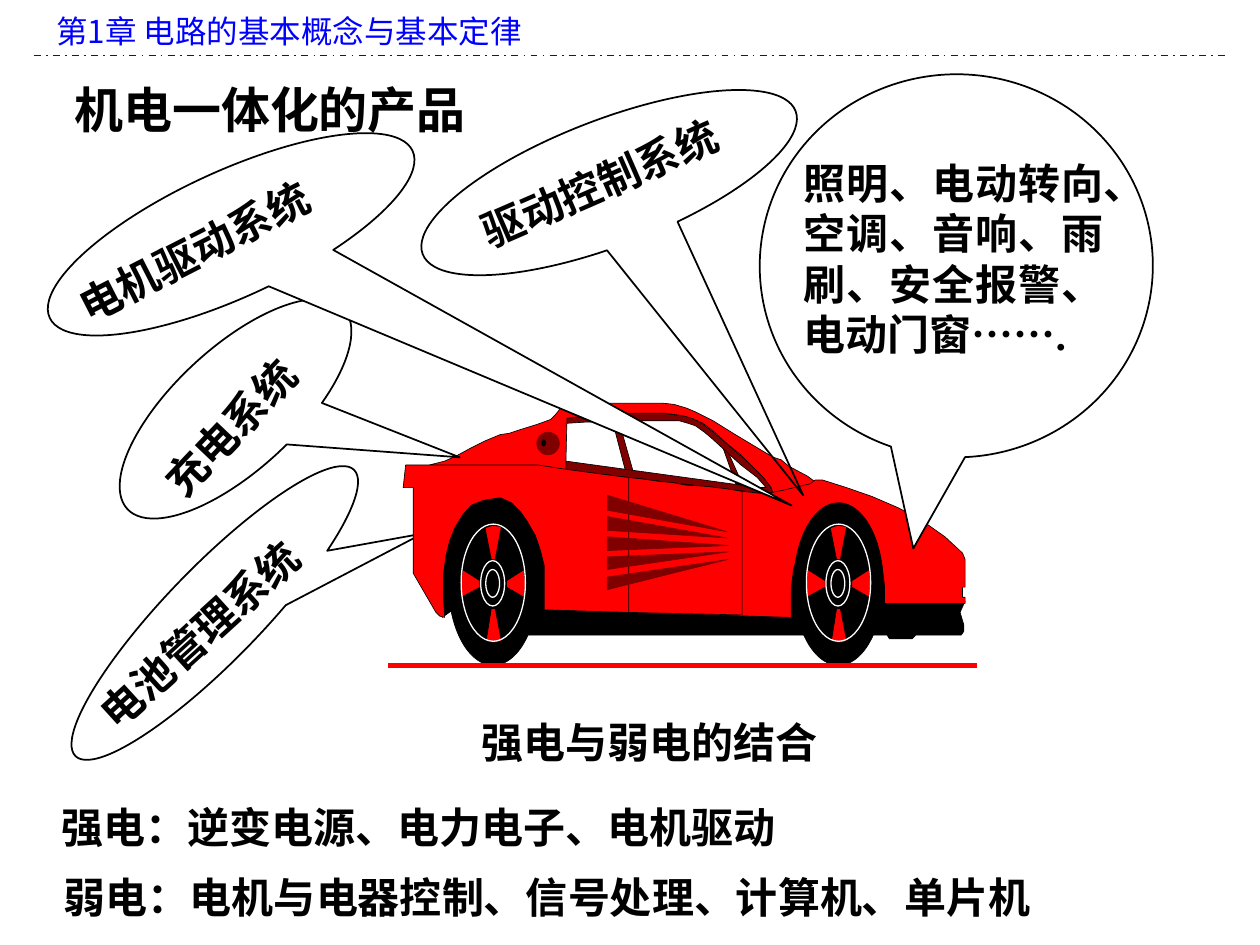
from dataclasses import dataclass

from pptx import Presentation, util as u
from pptx.dml.color import RGBColor
from pptx.enum import dml, shapes, text
from pptx.oxml.ns import qn

COLUMNS, ROWS = 1000, 750  # fine grid over the slide
CELL = u.Inches(10) // COLUMNS


@dataclass(frozen=True)
class Theme:
    black: str = "000000"
    white: str = "FFFFFF"
    blue: str = "0000FF"
    red: str = "FF0000"
    maroon: str = "800000"
    latin: str = "Times New Roman"
    asian: str = "Noto Sans CJK SC"
    chapter: int = 18
    body: int = 24
    title: int = 28
    hairline: float = 0.38
    rim: float = 0.75
    outline: float = 1
    ground: float = 3


T = Theme()

# Frame, turn and tail of each callout; frame, turn and wording of its label
BATTERY = ((12, 449, 317, 75), -45.8, (0.505, 0.991), (48, 478, 221, 50), -42.3, "电池管理系统")
CHARGING = ((70, 276, 234, 97), -42.8, (0.446, 1.537), (106, 314, 154, 50), -46.4, "充电系统")
CONTROL = ((325, 95, 317, 100), -21, (0.173, 2.867), (366, 120, 221, 50), -23.6, "驱动控制系统")
MOTOR = ((25, 136, 317, 100), -24.7, (0.991, 3.813), (44, 174, 221, 50), -27.1, "电机驱动系统")
COMFORT = ((603, 59, 312, 304), -1.8, (-0.132, 0.734), (628, 120, 258, 210), 0,
           "照明、电动转向、空调、音响、雨刷、安全报警、电动门窗…….")

# Car outlines as x,y grid points
PILLARS = ["486,331 485,330 497,376 503,376 490,330",
           "578,359 590,386 584,384 574,356"]
WINDOW_FRAME = (
    "450,336 466,335 477,335 493,334 539,334 546,336 552,338 559,343 565,348 588,369 601,379 "
    "608,387 602,387 449,366 449,373 608,392 613,391 611,385 606,379 596,369 587,361 566,343 "
    "557,336 547,331 526,328 497,328 450,332")
ROOF = (
    "341,369 353,366 362,362 373,356 385,350 397,345 404,344 413,341 426,337 437,333 441,329 "
    "445,324 451,323 461,323 472,321 480,320 526,320 535,321 545,324 552,327 566,334 582,344 "
    "607,359 614,363 620,365 626,370 641,378 649,384 646,387 636,392 630,393 614,393 612,387 "
    "606,379 598,371 588,361 578,353 567,343 558,336 549,332 542,330 528,328 491,328 475,329 "
    "450,332 449,375")
UNDERBODY = (
    "701,446 704,464 704,477 766,477 762,486 765,496 765,501 763,504 727,504 724,507 706,507 "
    "704,504 374,504 361,483 351,490 349,434 374,392 414,393 618,486 624,475 629,446 636,423 "
    "657,403 677,404 692,418")
BODY = (
    "342,369 322,369 320,387 328,387 328,455 346,486 349,489 353,490 352,475 352,456 354,441 "
    "357,429 361,419 367,409 374,401 384,397 397,395 406,399 413,406 418,413 425,425 429,437 "
    "432,449 432,484 628,490 628,467 630,451 634,439 638,427 645,417 652,411 659,407 671,407 "
    "678,409 684,414 690,423 696,435 700,449 702,464 702,479 766,479 766,474 764,474 764,466 "
    "766,466 766,444 764,439 750,426 733,414 713,403 692,394 672,387 653,381 647,381 643,384 "
    "622,389 607,392 523,382 483,377 446,372 427,369")
DOOR = "499,379 499,486 589,488 589,390 577,388 561,386 544,385 534,383 523,382 509,380"
VENTS = ["482,458 482,468 578,444", "482,393 482,405 577,422", "482,410 482,421 577,427",
         "482,426 482,437 578,433", "482,442 482,452 578,438"]
# Spokes of the front wheel; the rear wheel is the same, moved left
SPOKES = ["660,508 664,483 667,483 672,509 666,510", "659,419 664,444 667,444 672,418 665,417",
          "690,452 676,461 676,466 690,474 691,464", "641,452 655,461 655,466 640,474 640,464"]
WHEELBASE = 274


def rgb(colour):
    return RGBColor.from_string(colour)


def cells(*values):
    return [u.Emu(round(value * CELL)) for value in values]


def paint(part, fill, line, width):
    part.shadow.inherit = False
    if fill:
        part.fill.solid()
        part.fill.fore_color.rgb = rgb(fill)
    else:
        part.fill.background()
    part.line.color.rgb = rgb(line)
    part.line.width = u.Pt(width)


def write(holder, words, size, colour=T.black, bold=True, latin=T.latin, wrap=True,
          align=text.PP_ALIGN.LEFT, anchor=text.MSO_ANCHOR.TOP):
    frame = holder.text_frame
    frame.text = words
    frame.word_wrap = wrap
    frame.auto_size = text.MSO_AUTO_SIZE.SHAPE_TO_FIT_TEXT
    frame.vertical_anchor = anchor
    paragraph = frame.paragraphs[0]
    paragraph.alignment = align
    for run in paragraph.runs:
        font = run.font
        font.size, font.bold, font.name = u.Pt(size), bold, latin
        font.color.rgb = rgb(colour)
        asian = run._r.get_or_add_rPr().makeelement(qn("a:ea"), {"typeface": T.asian})
        run._r.rPr.find(qn("a:latin")).addnext(asian)


def add_words(slide, frame, words, size=T.body, turn=0, **style):
    box = slide.shapes.add_textbox(*cells(*frame))
    box.rotation = turn
    write(box, words, size, **style)
    return box


def add_rule(slide, left, right, y, colour, width, dash=None):
    rule = slide.shapes.add_connector(shapes.MSO_CONNECTOR.STRAIGHT, *cells(left, y, right, y))
    rule.line.color.rgb = rgb(colour)
    rule.line.width = u.Pt(width)
    if dash:
        rule.line.dash_style = dash
    properties = rule._element.spPr
    properties.append(properties.makeelement(qn("a:effectLst"), {}))


def add_outline(slide, points, fill, line=T.black, shift=0):
    corners = [tuple(map(int, point.split(","))) for point in points.split()]
    corners = [(x - shift, y) for x, y in corners]
    builder = slide.shapes.build_freeform(*corners[0], scale=CELL)
    builder.add_line_segments(corners[1:], close=True)
    paint(builder.convert_to_shape(), fill, line, T.hairline)


def add_disc(slide, frame, fill, line, width=T.hairline):
    disc = slide.shapes.add_shape(shapes.MSO_SHAPE.OVAL, *cells(*frame))
    paint(disc, fill, line, width)


def add_callout(slide, callout, filled=True, wrap=False, align=text.PP_ALIGN.LEFT):
    frame, turn, tail, label_frame, label_turn, words = callout
    bubble = slide.shapes.add_shape(shapes.MSO_SHAPE.OVAL_CALLOUT, *cells(*frame))
    bubble.adjustments[0], bubble.adjustments[1] = tail
    bubble.rotation = turn
    paint(bubble, T.white if filled else None, T.black, T.outline)
    label = add_words(slide, label_frame, words, turn=label_turn, wrap=wrap, align=align)
    if not filled:
        label.fill.solid()
        label.fill.fore_color.rgb = rgb(T.white)


def add_wheel(slide, shift):
    add_disc(slide, (630 - shift, 399, 71, 129), T.black, T.black)
    for spoke in SPOKES:
        add_outline(slide, spoke, T.red, shift=shift)
    for x, y, width, height, fill in [(640, 416, 51, 93, None), (655.5, 445, 19, 36, T.black),
                                      (659.5, 452, 11, 22, T.black)]:
        add_disc(slide, (x - shift, y, width, height), fill, T.white, T.rim)


def add_car(slide):
    for pillar in PILLARS:
        add_outline(slide, pillar, T.maroon)
    for points, fill in [(WINDOW_FRAME, T.maroon), (ROOF, T.red), (UNDERBODY, T.black),
                         (BODY, T.red), (DOOR, T.red)]:
        add_outline(slide, points, fill)
    # Fuel cap and side vents
    add_disc(slide, (426, 343, 18, 18), T.maroon, T.maroon)
    add_disc(slide, (430, 349, 3, 5), T.black, T.black)
    for vent in VENTS:
        add_outline(slide, vent, T.maroon, T.maroon)
    for shift in (0, WHEELBASE):
        add_wheel(slide, shift)
    add_rule(slide, 308, 775, 528, T.red, T.ground)


def add_title(slide):
    title = slide.shapes.title
    title.left, title.top, title.width, title.height = cells(49, 58, 791, 57)
    write(title, "机电一体化的产品", T.title, anchor=text.MSO_ANCHOR.MIDDLE)
    title.element.getparent().append(title.element)


def main():
    deck = Presentation()
    deck.slide_width, deck.slide_height = cells(COLUMNS, ROWS)
    slide = deck.slides.add_slide(deck.slide_layouts[5])

    # Chapter header
    add_words(slide, (35, 5, 937, 40), "第1章 电路的基本概念与基本定律", T.chapter,
              colour=T.blue, bold=False, latin=T.asian)
    add_rule(slide, 27, 972, 44, T.blue, T.outline, dml.MSO_LINE.DASH_DOT)

    # Car and its systems, back to front
    add_callout(slide, BATTERY)
    add_car(slide)
    add_callout(slide, CHARGING)
    add_callout(slide, COMFORT, wrap=True, align=text.PP_ALIGN.JUSTIFY)
    add_callout(slide, CONTROL, filled=False)
    add_callout(slide, MOTOR)

    # Title and summary
    add_title(slide)
    for frame, words in [((372, 564, 383, 50), "强电与弱电的结合"),
                         ((39, 631, 861, 50), "强电：逆变电源、电力电子、电机驱动"),
                         ((41, 687, 866, 50), "弱电：电机与电器控制、信号处理、计算机、单片机")]:
        add_words(slide, frame, words)
    deck.save("out.pptx")


main()
